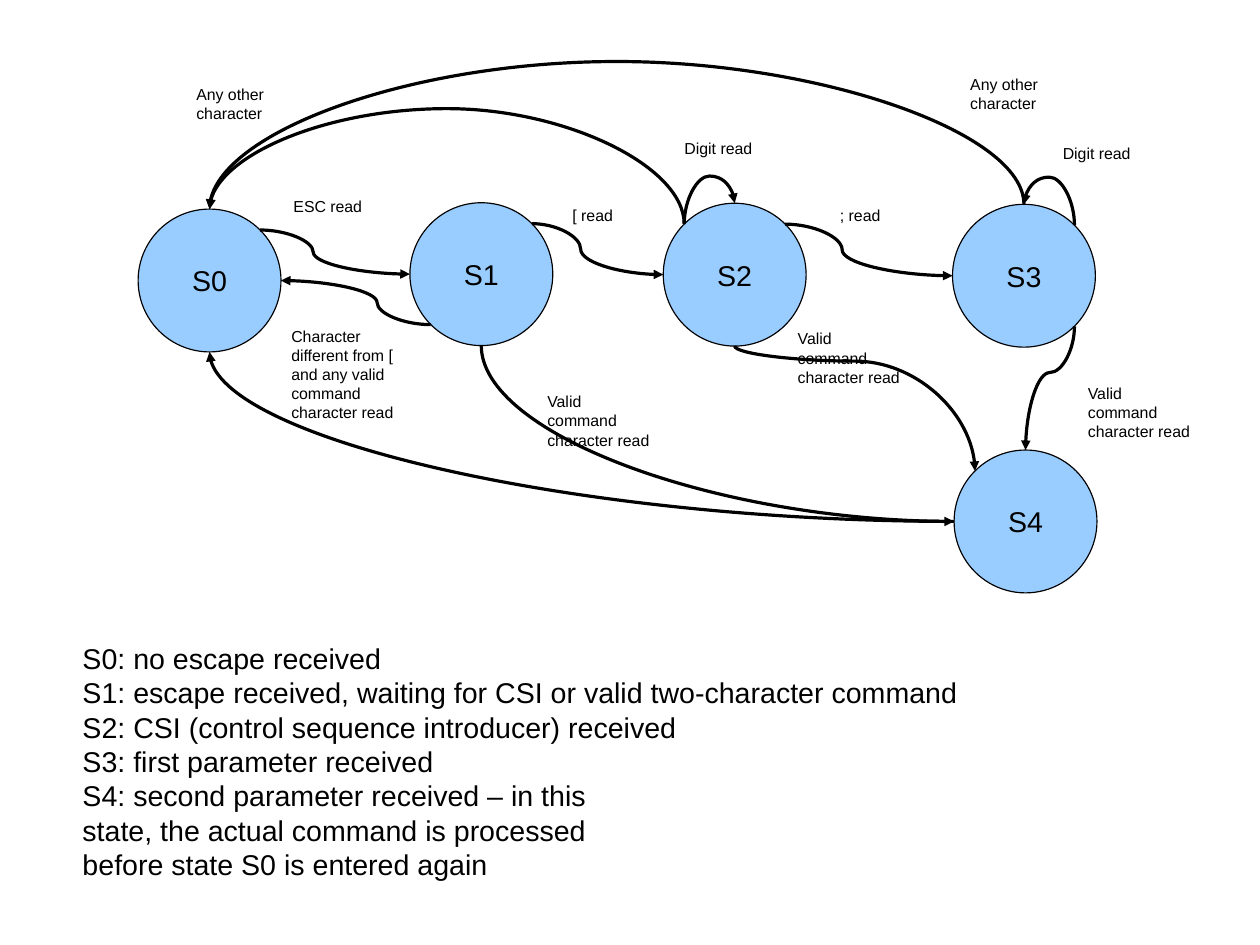
from dataclasses import dataclass
from math import copysign, sqrt

from lxml import etree
from pptx import Presentation
from pptx import util as u
from pptx.dml.color import RGBColor
from pptx.enum import shapes, text
from pptx.oxml import ns

Pt = u.Pt


@dataclass(frozen=True)
class Theme:
    """Colours, font and sizes of the slide."""
    font: str = "Arial"
    ink: RGBColor = RGBColor(0, 0, 0)
    state_fill: RGBColor = RGBColor(0x99, 0xCC, 0xFF)
    paper: RGBColor = RGBColor(255, 255, 255)
    large: float = 18
    small: float = 10
    hairline: float = 0


THEME = Theme()
DIAMETER = 90
LABEL_WIDTH = 80.6
LABEL_LEADING = 11.15

STATES = {
    "S0": (15, 95.7),
    "S1": (186.2, 91.7),
    "S2": (345.8, 92),
    "S3": (528, 92.7),
    "S4": (529, 247.5),
}

DIAGONAL = sqrt(0.5)
SIDES = {
    "n": (0, -1), "s": (0, 1), "w": (-1, 0), "e": (1, 0),
    "nw": (-DIAGONAL, -DIAGONAL), "ne": (DIAGONAL, -DIAGONAL),
    "sw": (-DIAGONAL, DIAGONAL), "se": (DIAGONAL, DIAGONAL),
}

TRANSITIONS = [
    ("S0", "ne", "S1", "w", "across", 125.3),
    ("S1", "ne", "S2", "w", "across", 293.8),
    ("S1", "sw", "S0", "e", "across", 165.6),
    ("S2", "nw", "S2", "n", "upright", 74.9),
    ("S2", "ne", "S3", "w", "across", 458.6),
    ("S3", "se", "S4", "n", "upright", 198.7),
    ("S3", "ne", "S3", "n", "upright", 75.6),
    ("S4", "w", "S0", "s", "across", None),
    ("S1", "s", "S4", "w", "upright", None),
    ("S2", "nw", "S0", "n", "upright", 32.4),
    ("S2", "s", "S4", "nw", "upright", 191.5),
    ("S3", "n", "S0", "n", "upright", 2.9),
]

VALID = "Valid command character read"
OTHER = "Any other character"
CONDITIONS = [
    ("ESC read", 105.8, 84.2, 1),
    ("[ read", 281.5, 90, 1),
    ("; read", 450, 90, 1),
    ("Digit read", 352.1, 47.5, 1),
    ("Digit read", 590.4, 51.1, 1),
    (OTHER, 44.6, 13.7, 2),
    (OTHER, 532.1, 7.2, 2),
    (VALID, 265.7, 207.4, 3),
    (VALID, 423.4, 167.8, 3),
    (VALID, 606.2, 202.3, 3),
    ("Character different from [ and any valid command character read",
     104.4, 166.3, 5),
]

LEGEND = """S0: no escape received
S1: escape received, waiting for CSI or valid two-character command
S2: CSI (control sequence introducer) received
S3: first parameter received
S4: second parameter received – in this
state, the actual command is processed
before state S0 is entered again"""


def style_text(frame, size, align=text.PP_ALIGN.LEFT):
    """Give every run of a frame the theme font at one size."""
    for line in frame.paragraphs:
        line.alignment = align
        for run in line.runs:
            run.font.name = THEME.font
            run.font.size = Pt(size)
            run.font.color.rgb = THEME.ink


def add_note(slide, box, wording, size):
    """Place wrapped text in a box that grows with it."""
    frame = slide.shapes.add_textbox(*map(Pt, box)).text_frame
    frame.word_wrap = True
    frame.auto_size = text.MSO_AUTO_SIZE.SHAPE_TO_FIT_TEXT
    frame.text = wording
    style_text(frame, size)


def add_state(slide, name, left, top):
    """Draw one state as a named circle."""
    state = slide.shapes.add_shape(
        shapes.MSO_SHAPE.OVAL, Pt(left), Pt(top), Pt(DIAMETER), Pt(DIAMETER))
    state.shadow.inherit = False
    state.fill.solid()
    state.fill.fore_color.rgb = THEME.state_fill
    state.line.color.rgb = THEME.ink
    state.line.width = Pt(THEME.hairline)
    frame = state.text_frame
    frame.word_wrap = False
    frame.vertical_anchor = text.MSO_ANCHOR.MIDDLE
    frame.text = name
    style_text(frame, THEME.large, text.PP_ALIGN.CENTER)


def add_transition(slide, start, end, direction, bend):
    """Draw a curved arrow leaving across or upright, turning at bend."""
    upright = direction == "upright"
    dx, dy = end[0] - start[0], end[1] - start[1]
    half_w, half_h = dx / 2, dy / 2
    if upright:
        half_w, half_h = -copysign(dy / 2, dx), copysign(dx / 2, dy)
    mid_x, mid_y = start[0] + dx / 2, start[1] + dy / 2
    arrow = slide.shapes.add_connector(
        shapes.MSO_CONNECTOR.CURVE,
        Pt(mid_x - half_w), Pt(mid_y - half_h),
        Pt(mid_x + half_w), Pt(mid_y + half_h))
    arrow.line.color.rgb = THEME.ink
    arrow.line.width = Pt(THEME.hairline)
    properties = arrow.element.spPr
    if upright:
        turn = 270 if dx * dy > 0 else 90
        properties.find(ns.qn("a:xfrm")).set("rot", str(turn * 60000))
    geometry = properties.find(ns.qn("a:prstGeom"))
    if bend is None:
        geometry.set("prst", "curvedConnector2")
    else:
        axis = 1 if upright else 0
        share = (bend - start[axis]) / (end[axis] - start[axis])
        guide = etree.SubElement(geometry.find(ns.qn("a:avLst")), ns.qn("a:gd"))
        guide.set("name", "adj1")
        guide.set("fmla", f"val {round(share * 100000)}")
    etree.SubElement(properties.find(ns.qn("a:ln")),
                     ns.qn("a:tailEnd")).set("type", "triangle")
    etree.SubElement(properties, ns.qn("a:effectLst"))


def draw_state_machine(slide, box):
    """Draw the states, transitions and conditions inside a box."""
    left, top = box[:2]

    def anchor(name, side):
        """Find a point on the rim of a state."""
        radius = DIAMETER / 2
        return tuple(origin + place + radius * (1 + reach) for origin, place, reach
                     in zip((left, top), STATES[name], SIDES[side]))

    for name, (x, y) in STATES.items():
        add_state(slide, name, left + x, top + y)
    for source, leave, target, enter, direction, bend in TRANSITIONS:
        if bend is not None:
            bend += top if direction == "upright" else left
        add_transition(slide, anchor(source, leave), anchor(target, enter),
                       direction, bend)
    for wording, x, y, lines in CONDITIONS:
        height = 7.2 + LABEL_LEADING * lines
        add_note(slide, (left + x, top + y, LABEL_WIDTH, height),
                 wording, THEME.small)


def draw_legend(slide, box):
    """Explain the states inside a box."""
    add_note(slide, box, LEGEND, THEME.large)


def main():
    """Build and save the slide."""
    deck = Presentation()
    deck.slide_width, deck.slide_height = Pt(793.7), Pt(595.3)
    slide = deck.slides.add_slide(deck.slide_layouts[6])
    slide.background.fill.solid()
    slide.background.fill.fore_color.rgb = THEME.paper
    draw_state_machine(slide, (72, 36, 690, 340))
    draw_legend(slide, (44.9, 400.3, 600.5, 148.3))
    deck.save("out.pptx")


if __name__ == "__main__":
    main()
